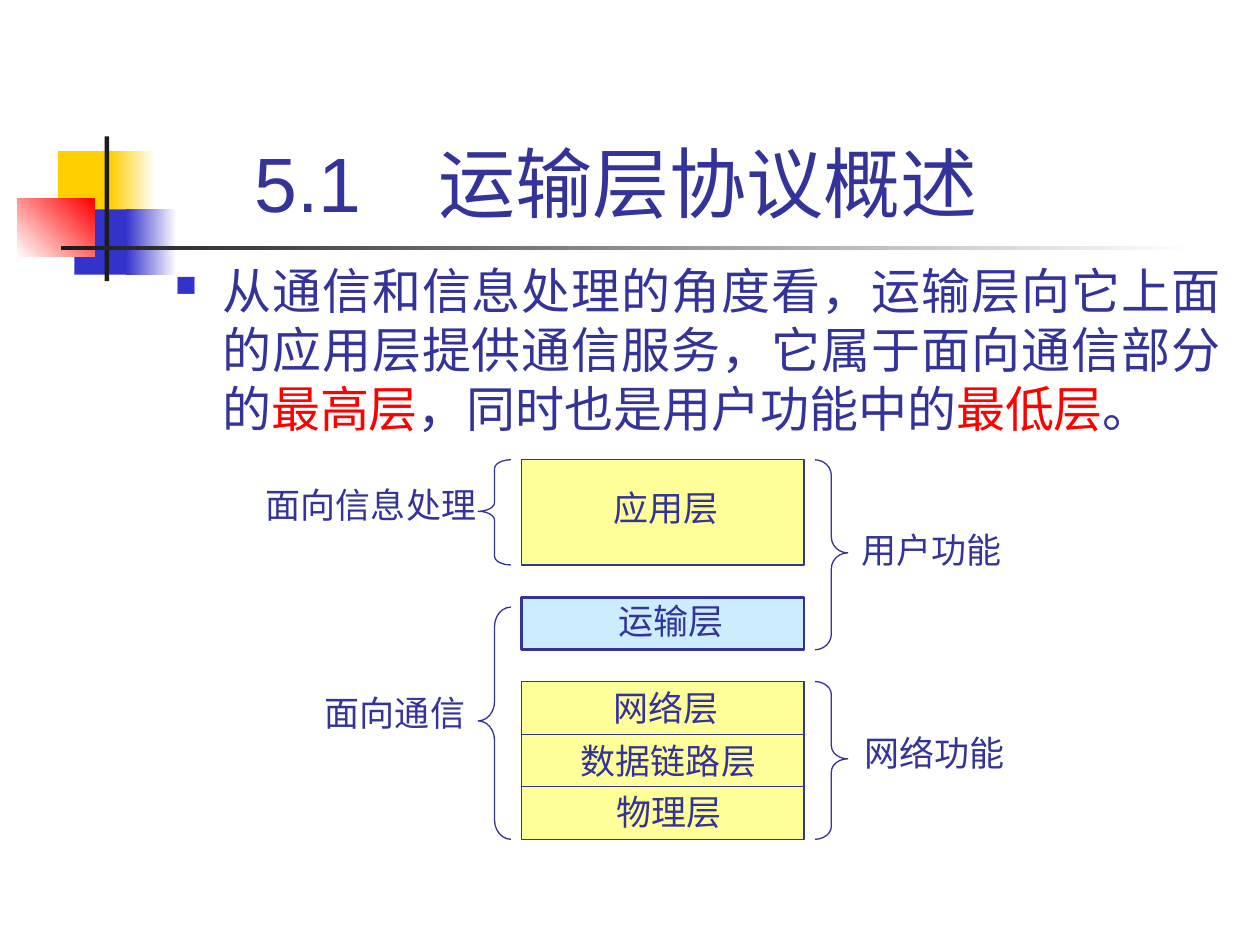
import lxml.etree
import pptx
import pptx.dml.color
import pptx.enum.shapes
import pptx.enum.text
import pptx.oxml.ns
import pptx.util
from dataclasses import dataclass

Cm = pptx.util.Cm
Pt = pptx.util.Pt
Shapes = pptx.enum.shapes.MSO_SHAPE
Align = pptx.enum.text.PP_ALIGN
qn = pptx.oxml.ns.qn


@dataclass(frozen=True)
class Theme:
    font: str = "Arial"
    ink: str = "333399"
    accent: str = "FF0000"
    white: str = "FFFFFF"
    gold: str = "FFCF01"
    blue: str = "3333CC"
    dark: str = "1C1C1C"
    layer: str = "FFFF99"
    highlight: str = "CCECFF"
    title_size: int = 44
    body_size: int = 28
    label_size: int = 20


def rgb(value):
    return pptx.dml.color.RGBColor.from_string(value)


class SlideBuilder:
    def __init__(self, slide, theme):
        self.slide = slide
        self.theme = theme

    def block(self, left, top, width, height, color, line_width=None, kind=Shapes.RECTANGLE):
        shape = self.slide.shapes.add_shape(kind, Cm(left), Cm(top), Cm(width), Cm(height))
        shape.shadow.inherit = False
        if color:
            shape.fill.solid()
            shape.fill.fore_color.rgb = rgb(color)
        else:
            shape.fill.background()
        if line_width:
            shape.line.color.rgb = rgb(self.theme.ink)
            shape.line.width = Pt(line_width)
        else:
            shape.line.fill.background()
        return shape

    def fade(self, left, top, width, height, start, end, angle=0):
        fill = self.block(left, top, width, height, start).fill
        fill.gradient()
        fill.gradient_angle = angle
        for stop, color in zip(fill.gradient_stops, (start, end)):
            stop.color.rgb = rgb(color)

    def brace(self, kind, left, top, width, height):
        shape = self.block(left, top, width, height, None, 0.75, kind)
        shape.adjustments[0] = height / 12 / width
        shape.adjustments[1] = 0.49

    def divider(self, left, right, y):
        line = self.slide.shapes.add_connector(
            pptx.enum.shapes.MSO_CONNECTOR.STRAIGHT, Cm(left), Cm(y), Cm(right), Cm(y))
        line.line.color.rgb = rgb(self.theme.ink)
        line.line.width = Pt(0.75)
        properties = line._element.find(qn("p:spPr"))
        lxml.etree.SubElement(properties, qn("a:effectLst"))

    def text_box(self, left, top, width, height, size, wrap=True):
        shape = self.slide.shapes.add_textbox(Cm(left), Cm(top), Cm(width), Cm(height))
        frame = shape.text_frame
        frame.word_wrap = wrap
        paragraph = frame.paragraphs[0]
        paragraph.font.name = self.theme.font
        paragraph.font.size = Pt(size)
        paragraph.font.color.rgb = rgb(self.theme.ink)
        return frame, paragraph

    def title(self, text, left, top, width, height):
        frame, paragraph = self.text_box(left, top, width, height, self.theme.title_size)
        frame.vertical_anchor = pptx.enum.text.MSO_ANCHOR.BOTTOM
        paragraph.alignment = Align.CENTER
        paragraph.add_run().text = text

    def label(self, text, left, top, width):
        frame, paragraph = self.text_box(left, top, width, 1.12, self.theme.label_size, False)
        frame.auto_size = pptx.enum.text.MSO_AUTO_SIZE.SHAPE_TO_FIT_TEXT
        paragraph.add_run().text = text

    def bullet(self, parts, left, top, width, height):
        frame, paragraph = self.text_box(left, top, width, height, self.theme.body_size)
        paragraph.alignment = Align.JUSTIFY
        properties = paragraph._p.get_or_add_pPr()
        properties.set("marL", str(Cm(0.95)))
        properties.set("indent", str(Cm(-0.95)))
        color = lxml.etree.Element(qn("a:buClr"))
        lxml.etree.SubElement(color, qn("a:srgbClr"), val=self.theme.blue)
        size = lxml.etree.Element(qn("a:buSzPct"), val="60000")
        character = lxml.etree.Element(qn("a:buChar"), char="■")
        for position, element in enumerate((color, size, character)):
            properties.insert(position, element)
        for text, ink in parts:
            run = paragraph.add_run()
            run.text = text
            run.font.color.rgb = rgb(ink)


def main():
    theme = Theme()
    presentation = pptx.Presentation()
    presentation.slide_width = Cm(25.4)
    presentation.slide_height = Cm(19.05)
    slide = presentation.slides.add_slide(presentation.slide_layouts[6])
    builder = SlideBuilder(slide, theme)

    builder.block(1.17, 3.05, 1.22, 1.32, theme.gold)
    builder.fade(2.22, 3.05, 0.91, 1.32, theme.gold, theme.white)
    builder.block(1.5, 4.22, 1.17, 1.32, theme.blue)
    builder.fade(2.54, 4.22, 1.02, 1.32, theme.blue, theme.white)
    builder.fade(0.35, 4.01, 1.55, 1.17, theme.white, theme.accent, 45)
    builder.block(2.11, 2.75, 0.09, 2.92, theme.dark)
    builder.fade(1.23, 4.95, 22.86, 0.09, theme.dark, theme.white)

    builder.title("5.1\u3000运输层协议概述".replace("\u3000", "　"), 2.9, 2.59, 19.05, 2.13)
    builder.bullet([
        ("从通信和信息处理的角度看，运输层向它上面的应用层提供通信服务，它属于面向通信部分的", theme.ink),
        ("最高层", theme.accent),
        ("，同时也是用户功能中的", theme.ink),
        ("最低层", theme.accent),
        ("。", theme.ink),
    ], 3.28, 5.13, 21.59, 4.19)

    stack_left, stack_width = 10.52, 5.69
    row = 1.06
    application_top, transport_top, network_top = 9.27, 12.04, 13.74
    bottom = network_top + 3 * row
    builder.block(stack_left, application_top, stack_width, 2 * row, theme.layer, 0.75)
    builder.block(stack_left, network_top, stack_width, 3 * row, theme.layer, 0.75)
    for index in (1, 2):
        builder.divider(stack_left, stack_left + stack_width, network_top + index * row)
    builder.block(stack_left, transport_top, stack_width, row, theme.highlight, 1.5)

    for kind, left, top, end in (
        (Shapes.RIGHT_BRACE, 16.43, application_top, transport_top + row),
        (Shapes.RIGHT_BRACE, 16.43, network_top, bottom),
        (Shapes.LEFT_BRACE, 9.64, application_top, application_top + 2 * row),
        (Shapes.LEFT_BRACE, 9.64, 12.24, bottom),
    ):
        builder.brace(kind, left, top, 0.66, end - top)

    for text, left, top, width in (
        ("应用层", 12.12, 9.68, 2.62),
        ("运输层", 12.22, 11.96, 2.62),
        ("网络层", 12.12, 13.72, 2.62),
        ("数据链路层", 11.46, 14.78, 4.04),
        ("物理层", 12.17, 15.82, 2.62),
        ("面向信息处理", 5.11, 9.63, 4.75),
        ("面向通信", 6.3, 13.82, 3.33),
        ("用户功能", 17.12, 10.52, 3.33),
        ("网络功能", 17.17, 14.63, 3.33),
    ):
        builder.label(text, left, top, width)

    presentation.save("out.pptx")


if __name__ == "__main__":
    main()
